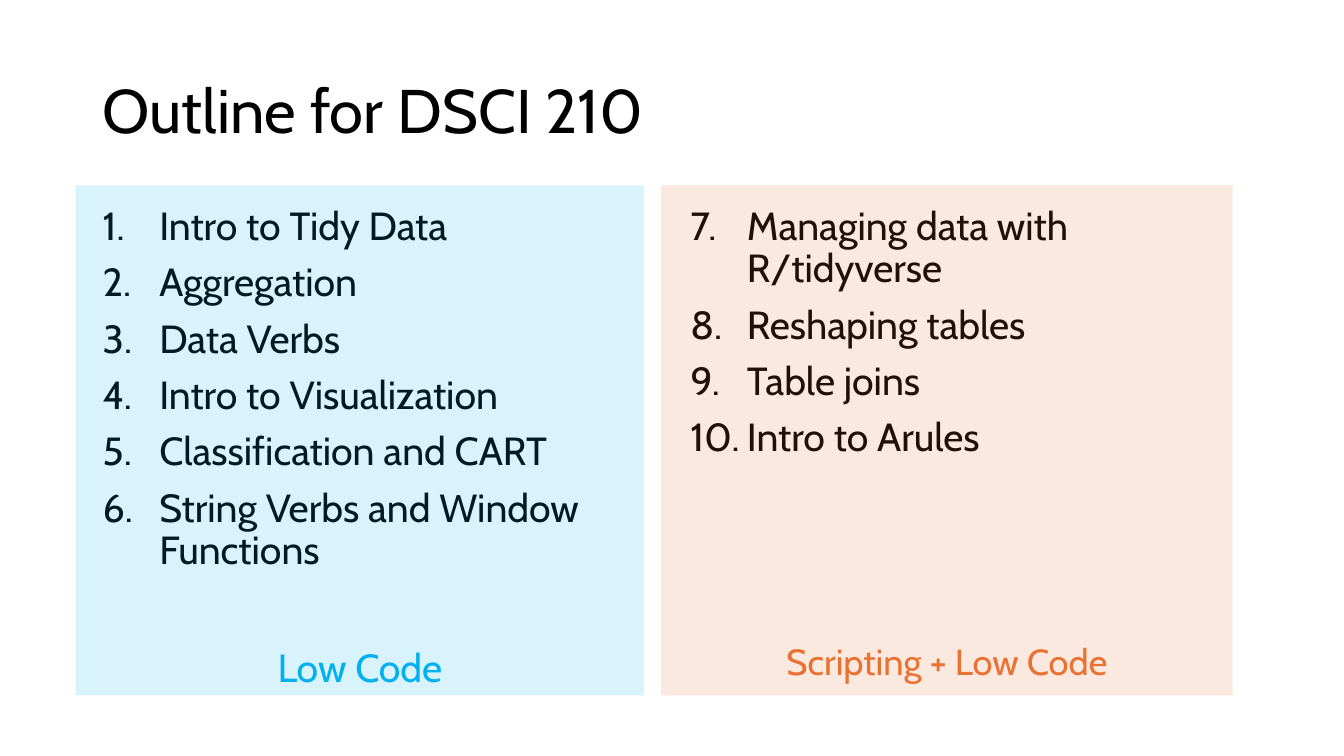
"""Build the two-column course outline slide for DSCI 210."""
from lxml import etree
from pptx import Presentation
from pptx.dml.color import RGBColor
from pptx.enum import shapes, text
from pptx.oxml.ns import qn
from pptx.util import Pt

BLACK = RGBColor(0x00, 0x00, 0x00)
BLUE = RGBColor(0x00, 0xB0, 0xF0)
ORANGE = RGBColor(0xE9, 0x71, 0x32)
INDENT = 40.5

LEFT_TOPICS = ["Intro to Tidy Data", "Aggregation", "Data Verbs",
               "Intro to Visualization", "Classification and CART",
               "String Verbs and Window Functions"]
RIGHT_TOPICS = ["Managing data with R/tidyverse", "Reshaping tables",
                "Table joins", "Intro to Arules"]


def write(p, words, size, color, **layout):
    """Fill a paragraph with one formatted run."""
    for name, value in {"line_spacing": 0.9, **layout}.items():
        setattr(p, name, value)
    r = p.add_run()
    r.text = words
    for name, value in {"name": "Cabin", "size": Pt(size)}.items():
        setattr(r.font, name, value)
    r.font.color.rgb = color


def add_text_box(s, left, top, width, height, anchor):
    """Add a wrapping text box and return its text frame."""
    tf = s.shapes.add_textbox(Pt(left), Pt(top), Pt(width), Pt(height)).text_frame
    tf.word_wrap = True
    tf.vertical_anchor = anchor
    return tf


prs = Presentation()
prs.slide_width, prs.slide_height = Pt(960), Pt(540)
s = prs.slides.add_slide(prs.slide_layouts[6])

tf = add_text_box(s, 66.24, 28.8, 828, 104.4, text.MSO_ANCHOR.MIDDLE)
write(tf.paragraphs[0], "Outline for DSCI 210", 44, BLACK)

for left, start, topics in [(66.24, 1, LEFT_TOPICS), (486, 7, RIGHT_TOPICS)]:
    tf = add_text_box(s, left, 144, 408.24, 342.72, text.MSO_ANCHOR.TOP)
    for i, topic in enumerate(topics):
        p = tf.paragraphs[0] if i == 0 else tf.add_paragraph()
        write(p, topic, 28, BLACK, space_before=Pt(10 if i else 0))
        pPr = p._p.get_or_add_pPr()
        pPr.set("marL", str(Pt(INDENT)))
        pPr.set("indent", str(-Pt(INDENT)))
        etree.SubElement(pPr, qn("a:buFont"), typeface="+mj-lt")
        etree.SubElement(pPr, qn("a:buAutoNum"), type="arabicPeriod", startAt=str(start))

panels = [(54, 406.08, BLUE, "Low Code", 28, 0.9, 3.6),
          (472.32, 408.24, ORANGE, "Scripting + Low Code", 25.9, 0.7, 10)]
for left, width, color, label, size, spacing, bottom in panels:
    sp = s.shapes.add_shape(shapes.MSO_SHAPE.RECTANGLE,
                            Pt(left), Pt(132.48), Pt(width), Pt(364.32))
    sp.shadow.inherit = False
    sp.line.fill.background()
    sp.fill.solid()
    sp.fill.fore_color.rgb = color
    rgb = sp.fill._xPr.find(qn("a:solidFill")).find(qn("a:srgbClr"))
    etree.SubElement(rgb, qn("a:alpha"), val="15000")
    tf = sp.text_frame
    for name, value in {"word_wrap": True, "margin_bottom": Pt(bottom),
                        "vertical_anchor": text.MSO_ANCHOR.BOTTOM}.items():
        setattr(tf, name, value)
    write(tf.paragraphs[0], label, size, color,
          alignment=text.PP_ALIGN.CENTER, line_spacing=spacing)

prs.save("out.pptx")
